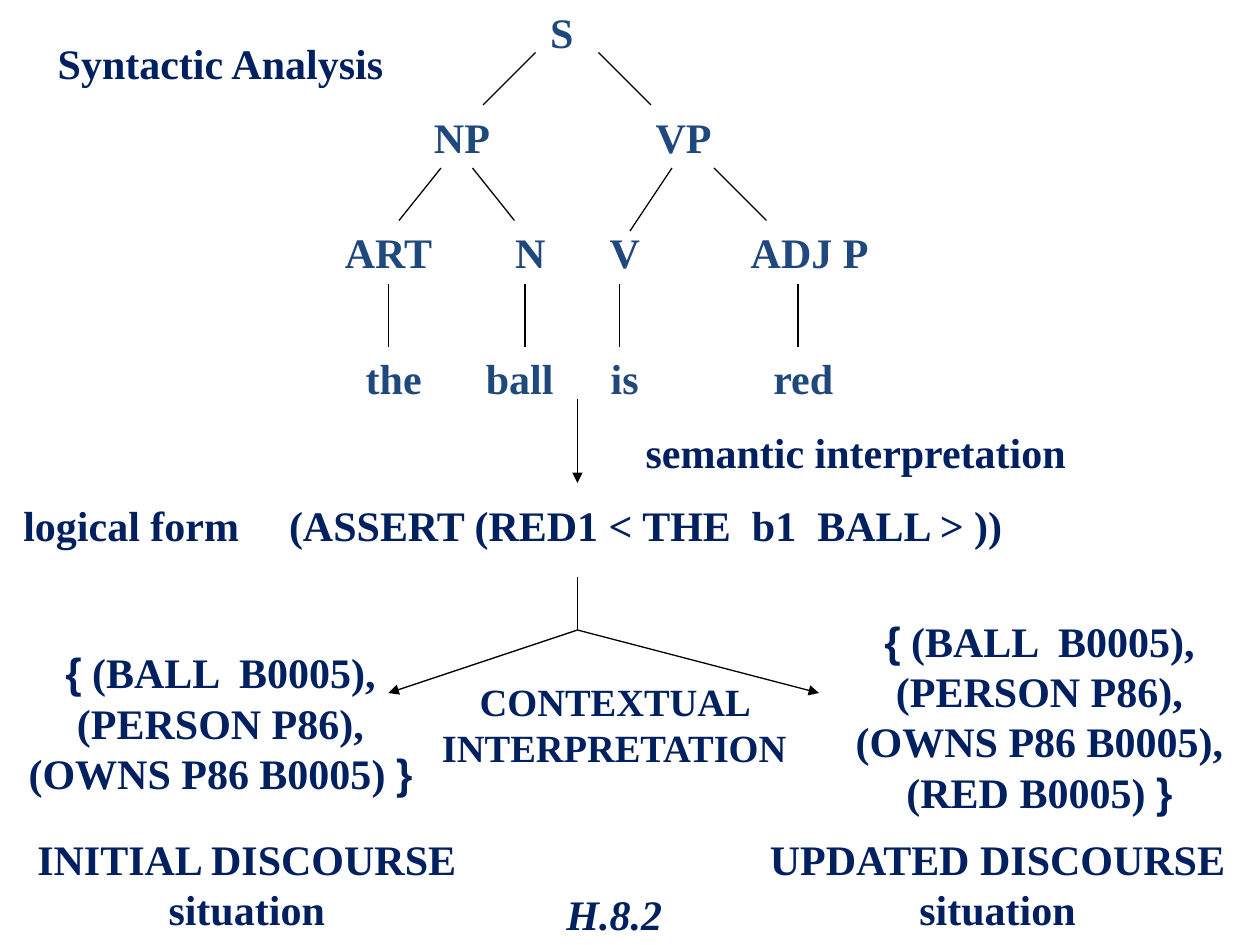
from lxml import etree
from pptx import Presentation
from pptx.dml.color import RGBColor
from pptx.enum.shapes import MSO_CONNECTOR
from pptx.enum.text import MSO_AUTO_SIZE, PP_ALIGN
from pptx.oxml.ns import qn
from pptx.util import Cm, Pt

STRAIGHT = MSO_CONNECTOR.STRAIGHT
GROW = MSO_AUTO_SIZE.SHAPE_TO_FIT_TEXT
CENTER = PP_ALIGN.CENTER

COLORS = {"node": "1F497D", "text": "002060", "line": "000000"}
GRID = 2.54 / 12  # every position counts in twelfths of an inch
ROW_HEIGHT = 6


def grid(units):
    return Cm(units * GRID)


class Diagram:
    font = "Times New Roman"
    brace_font = "Arial"

    def __init__(self, slide):
        self.slide = slide

    def text(self, content, left, top, width, height=ROW_HEIGHT,
             color="text", size=24, italic=False):
        """Centred bold text; curly braces stand in their own font."""
        shape = self.slide.shapes.add_textbox(
            grid(left), grid(top), grid(width), grid(height))
        frame = shape.text_frame
        frame.word_wrap = True
        frame.auto_size = GROW
        paragraph = frame.paragraphs[0]
        paragraph.alignment = CENTER
        if content.startswith("{"):
            pieces = [content[0], content[1:-1], content[-1]]
        else:
            pieces = [content]
        for piece in pieces:
            run = paragraph.add_run()
            run.text = piece
            run.font.name = self.brace_font if piece in "{}" else self.font
            run.font.size = Pt(size)
            run.font.bold = True
            run.font.italic = italic
            run.font.color.rgb = RGBColor.from_string(COLORS[color])

    def line(self, start, end, arrow=False):
        connector = self.slide.shapes.add_connector(
            STRAIGHT, *map(grid, start + end))
        connector.line.width = Pt(0.75)
        connector.line.color.rgb = RGBColor.from_string(COLORS["line"])
        if arrow:
            etree.SubElement(connector.line._get_or_add_ln(),
                             qn("a:tailEnd"), type="triangle")
        etree.SubElement(connector._element.spPr, qn("a:effectLst"))


def main():
    presentation = Presentation()
    presentation.slide_width, presentation.slide_height = Cm(25.4), Cm(19.05)
    slide = presentation.slides.add_slide(presentation.slide_layouts[6])
    diagram = Diagram(slide)

    # Syntax tree: row top -> (label, left, width)
    tree = {
        0: [("S ", 45, 18)],
        10: [("NP", 38, 12), ("VP ", 50, 31)],
        21: [("ART", 31, 12), ("N", 41, 19), ("V", 50, 19), ("ADJ P ", 62, 31)],
        33: [("the", 31, 13), ("ball", 43, 13), ("is", 53, 13), ("red", 70, 13)],
    }
    for top, nodes in tree.items():
        for label, left, width in nodes:
            diagram.text(label, left, top, width, color="node")

    # Branches, then the stems down to the words
    branches = [
        ((51, 5), (46, 10)), ((57, 5), (62, 10)),
        ((42, 16), (38, 21)), ((45, 16), (49, 21)),
        ((64, 16), (60, 22)), ((68, 16), (73, 21)),
    ]
    stems = [((x, 27), (x, 33)) for x in (37, 50, 59, 76)]
    for start, end in branches + stems:
        diagram.line(start, end)

    # Flow from the sentence to the two situations
    fork = (55, 60)
    diagram.line((55, 38), (55, 46), arrow=True)
    diagram.line((55, 55), fork)
    diagram.line(fork, (37, 66), arrow=True)
    diagram.line(fork, (78, 66), arrow=True)

    # Stage labels and logical form
    diagram.text("Syntactic Analysis", 0, 3, 42)
    diagram.text("semantic interpretation", 57, 40, 49, 10.8)
    diagram.text("logical form", 0, 47, 25, 10.8)
    diagram.text("(ASSERT (RED1 < THE  b1  BALL > ))", 25, 47, 73)
    diagram.text("CONTEXTUAL INTERPRETATION", 34, 64, 49, 10, size=22)

    # Discourse situations
    facts = "{ (BALL  B0005), (PERSON P86), (OWNS P86 B0005)"
    diagram.text(facts + " }", 0, 61, 42, 15.6)
    diagram.text(facts + ", (RED B0005) }", 78, 58, 42, 20.4)
    diagram.text("INITIAL DISCOURSE situation", 0, 78.75, 47, 10.8)
    diagram.text("UPDATED DISCOURSE situation", 70, 78.75, 50, 10.8)

    # Slide number
    diagram.text("H.8.2", 43, 84, 31, italic=True)

    presentation.save("out.pptx")


if __name__ == "__main__":
    main()
